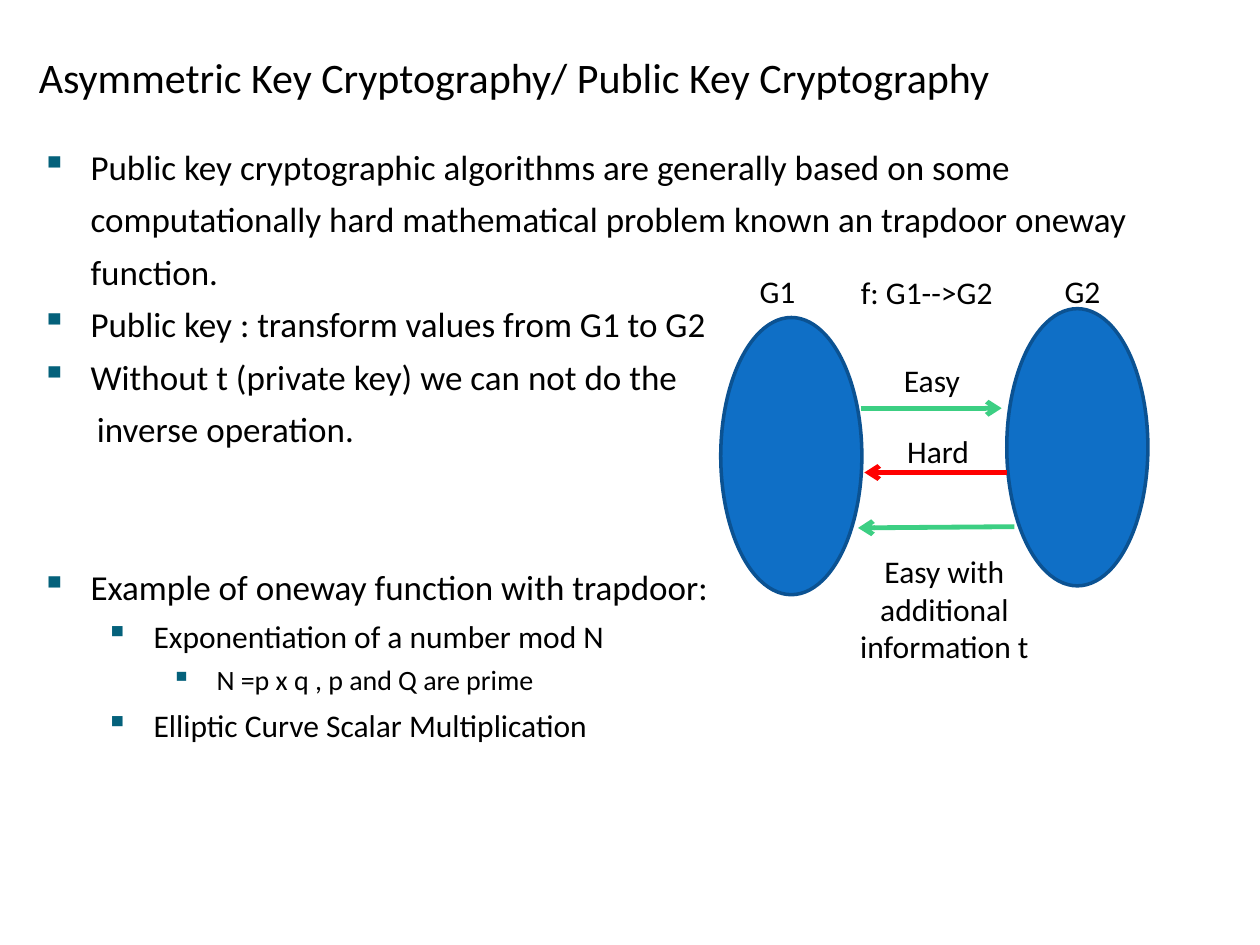
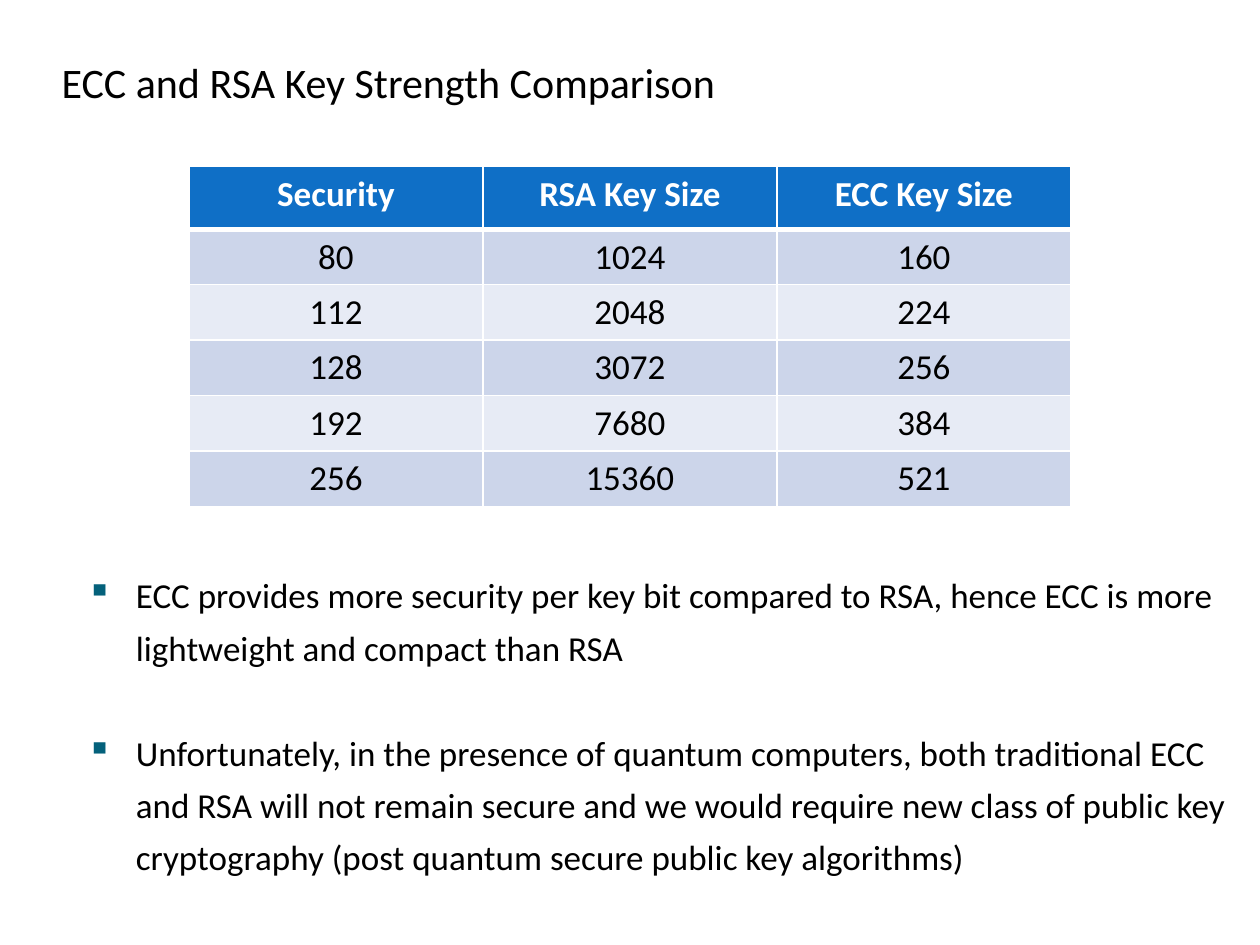
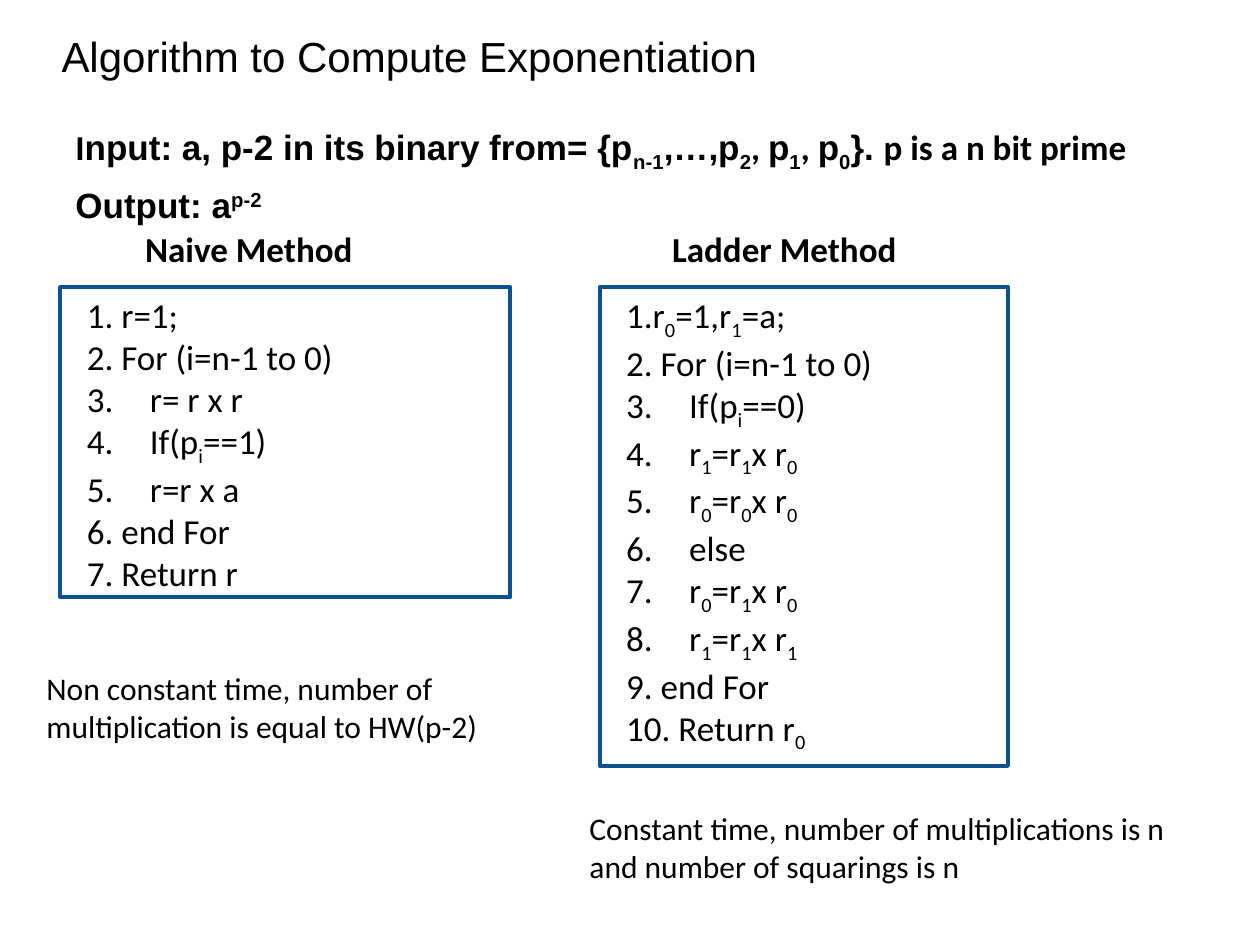
from lxml.etree import SubElement
from pptx import Presentation
from pptx.dml.color import RGBColor
from pptx.enum.shapes import MSO_CONNECTOR, MSO_SHAPE
from pptx.enum.text import MSO_ANCHOR, PP_ALIGN
from pptx.oxml.ns import qn
from pptx.util import Inches, Pt

COLORS = {
    "text": "000000", "white": "FFFFFF", "bullet": "04617B",
    "blue": "0F6FC6", "outline": "0B5292", "easy": "3CCF83", "hard": "FF0000",
    "band_dark": "CCD5EA", "band_light": "E7EBF5",
}
COLUMNS, ROWS = 100, 75
WIDTH, HEIGHT = Inches(10), Inches(7.5)
LEVELS = [(0.5, -0.39, 20), (1, -0.38, 18), (1.5, -0.36, 16)]
BODY_SPACING = 1.25
CODE_TAB = 0.75


def across(columns):
    return round(WIDTH * columns / COLUMNS)


def down(rows):
    return round(HEIGHT * rows / ROWS)


def place(left, top, width, height):
    return across(left), down(top), across(width), down(height)


def rgb(name):
    return RGBColor.from_string(COLORS[name])


def add_span(para, text, baseline=0, color="text", **formats):
    span = para.add_run()
    span.text = text
    values = {"name": "Calibri", "size": Pt(20), "bold": False} | formats
    for name, value in values.items():
        setattr(span.font, name, value)
    span.font.color.rgb = rgb(color)
    if baseline:
        span.font._element.set("baseline", str(baseline * 1000))


def write(para, markup, **formats):
    for raised_index, raised in enumerate(markup.split("^")):
        for index, text in enumerate(raised.split("~")):
            baseline = 30 if raised_index % 2 else -25 * (index % 2)
            if text:
                add_span(para, text, baseline, **formats)


def indent(para, margin, first=0):
    properties = para._p.get_or_add_pPr()
    properties.set("marL", str(Inches(margin)))
    properties.set("indent", str(Inches(first)))
    return properties


def add_bullet(properties):
    color = SubElement(properties, qn("a:buClr"))
    SubElement(color, qn("a:srgbClr"), val=COLORS["bullet"])
    SubElement(properties, qn("a:buChar"), char="▪")


def set_frame(frame, **formats):
    frame.word_wrap = True
    for name, value in formats.items():
        setattr(frame, name, value)


def next_para(frame, index):
    return frame.add_paragraph() if index else frame.paragraphs[0]


def add_box(page, area, **formats):
    frame = page.shapes.add_textbox(*place(*area)).text_frame
    set_frame(frame, **formats)
    return frame


def add_title(page, left, top, text, font="Calibri"):
    frame = add_box(page, (left, top, 78.4, 3.9), vertical_anchor=MSO_ANCHOR.MIDDLE)
    para = frame.paragraphs[0]
    para.line_spacing = BODY_SPACING
    write(para, text, name=font, size=Pt(24))


def add_label(page, area, text, size=18, align=PP_ALIGN.CENTER, bold=False):
    para = add_box(page, area).paragraphs[0]
    para.alignment = align
    write(para, text, size=Pt(size), bold=bold)


def add_bullets(page, area, items):
    frame = add_box(page, area)
    for index, (level, text, gap) in enumerate(items):
        para = next_para(frame, index)
        if level is None:
            indent(para, 0.55)
            size = 20
        else:
            margin, first, size = LEVELS[level]
            para.level = level
            add_bullet(indent(para, margin, first))
        para.line_spacing = BODY_SPACING
        if gap:
            para.space_before = Pt(gap)
        write(para, text, size=Pt(size))


def add_statement(page, area, lines):
    frame = add_box(page, area)
    for index, parts in enumerate(lines):
        para = next_para(frame, index)
        indent(para, 0.11)
        para.line_spacing = BODY_SPACING
        for font, markup in parts:
            write(para, markup, name=font, bold=True)


def add_shape(page, kind, area, fill, line_width):
    shape = page.shapes.add_shape(kind, *place(*area))
    shape.shadow.inherit = False
    if fill:
        shape.fill.solid()
        shape.fill.fore_color.rgb = rgb(fill)
    else:
        shape.fill.background()
    shape.line.color.rgb = rgb("outline")
    shape.line.width = Pt(line_width)
    return shape


def add_arrow(page, start, end, color):
    arrow = page.shapes.add_connector(
        MSO_CONNECTOR.STRAIGHT, across(start[0]), down(start[1]), across(end[0]), down(end[1]))
    arrow.line.color.rgb = rgb(color)
    arrow.line.width = Pt(2.75)
    SubElement(arrow.line._get_or_add_ln(), qn("a:tailEnd"), type="arrow")
    SubElement(arrow._element.spPr, qn("a:effectLst"))


def add_code(page, area, steps):
    box = add_shape(page, MSO_SHAPE.RECTANGLE, area, None, 2.25)
    frame = box.text_frame
    set_frame(frame, vertical_anchor=MSO_ANCHOR.TOP, margin_left=Inches(0.21))
    for index, (tab, markup) in enumerate(steps):
        para = next_para(frame, index)
        para.alignment = PP_ALIGN.LEFT
        if tab:
            stops = SubElement(indent(para, 0), qn("a:tabLst"))
            SubElement(stops, qn("a:tab"), pos=str(Inches(tab)), algn="l")
        write(para, markup)


def set_border(cell, side, width):
    line = SubElement(cell._tc.get_or_add_tcPr(), qn(f"a:{side}"), w=str(Pt(width)))
    fill = SubElement(line, qn("a:solidFill"))
    SubElement(fill, qn("a:srgbClr"), val=COLORS["white"])


def add_key_table(page, area, header_height, records):
    table = page.shapes.add_table(len(records), len(records[0]), *place(*area)).table
    row_height = (area[3] - header_height) / (len(records) - 1)
    for row_index, record in enumerate(records):
        header = row_index == 0
        table.rows[row_index].height = down(header_height if header else row_height)
        band = "blue" if header else ("band_light", "band_dark")[row_index % 2]
        for column_index, text in enumerate(record):
            cell = table.cell(row_index, column_index)
            for side in ("lnL", "lnR", "lnT", "lnB"):
                thick = (header and side == "lnB") or (row_index == 1 and side == "lnT")
                set_border(cell, side, 3 if thick else 1)
            cell.fill.solid()
            cell.fill.fore_color.rgb = rgb(band)
            para = cell.text_frame.paragraphs[0]
            para.alignment = PP_ALIGN.CENTER
            write(para, text, bold=header, color="white" if header else "text")


def build_public_key(page):
    add_bullets(page, (1.2, 10.2, 92.1, 54.7), [
        (0, "Public key cryptographic algorithms are generally based on some "
            "computationally hard mathematical problem known an trapdoor oneway function.", 0),
        (0, "Public key : transform values from G1 to G2", 0),
        (0, "Without t (private key) we can not do the", 0),
        (None, "inverse operation.", 0),
        (0, "Example of oneway function with trapdoor:", 60),
        (1, "Exponentiation of a number mod N", 0),
        (2, "N =p x q , p and Q are prime", 0),
        (1, "Elliptic Curve Scalar Multiplication", 0),
    ])
    add_title(page, 2.1, 3.6, "Asymmetric Key Cryptography/ Public Key Cryptography")
    for left, top in ((57.2, 25.2), (79.9, 24.5)):
        add_shape(page, MSO_SHAPE.OVAL, (left, top, 11.2, 22), "blue", 2)
    for start, end, color in (
        ((68.3, 32.4), (79.5, 32.4), "easy"),
        ((79.9, 37.5), (68.6, 37.5), "hard"),
        ((80.5, 41.8), (68.1, 41.9), "easy"),
    ):
        add_arrow(page, start, end, color)
    for left, text in ((59.3, "G1"), (83.5, "G2")):
        add_label(page, (left, 21.1, 5.8, 4), text, align=PP_ALIGN.LEFT)
    for area, text in (
        ((65.2, 21.2, 16.7, 4), "f: G1-->G2"),
        ((67, 28.2, 13.9, 4), "Easy"),
        ((67.5, 33.8, 13.9, 4), "Hard"),
        ((67, 43.3, 15.9, 10.1), "Easy with additional information t"),
    ):
        add_label(page, area, text)


def build_key_strength(page):
    add_bullets(page, (4.8, 44.2, 93.5, 31.3), [
        (0, "ECC provides more security per key bit compared to RSA, hence ECC is more "
            "lightweight and compact than RSA", 0),
        (0, "Unfortunately, in the presence of quantum computers, both traditional ECC and RSA "
            "will not remain secure and we would require new class of public key cryptography "
            "(post quantum secure public key algorithms)", 30),
    ])
    add_title(page, 3.9, 4, "ECC and RSA Key Strength Comparison")
    add_key_table(page, (15, 13.2, 70, 27), 5, [
        ("Security", "RSA Key Size", "ECC Key Size"),
        ("80", "1024", "160"),
        ("112", "2048", "224"),
        ("128", "3072", "256"),
        ("192", "7680", "384"),
        ("256", "15360", "521"),
    ])


def build_exponentiation(page):
    add_statement(page, (3.9, 8.5, 92.1, 10.2), [
        [("Calibri", "I"), ("Arial", "nput: a, p-2 in its binary from= {p~n-1~,…,p~2~"),
         ("Calibri", ", "), ("Arial", "p~1~"), ("Calibri", ", "), ("Arial", "p~0~}. "),
         ("Calibri", "p is a n bit prime")],
        [("Arial", "Output: a^p-2^")],
    ])
    add_title(page, 3.9, 2, "Algorithm to Compute Exponentiation", "Arial")
    add_code(page, (4.8, 22.8, 35.7, 24.6), [
        (0, "1. r=1;"),
        (0, "2. For (i=n-1 to 0)"),
        (CODE_TAB, "3.\tr= r x r"),
        (CODE_TAB, "4.\tIf(p~i~==1)"),
        (1.25, "5.\tr=r x a"),
        (0, "6. end For"),
        (0, "7. Return r"),
    ])
    add_code(page, (47.6, 22.8, 32.4, 38), [
        (0, "1.r~0~=1,r~1~=a;"),
        (0, "2. For (i=n-1 to 0)"),
        (CODE_TAB, "3.\tIf(p~i~==0)"),
        (1.13, "4.\tr~1~=r~1~x r~0~"),
        (1.28, "5.\tr~0~=r~0~x r~0~"),
        (CODE_TAB, "6.\telse"),
        (1.19, "7.\tr~0~=r~1~x r~0~"),
        (1.34, "8.\tr~1~=r~1~x r~1~"),
        (0, "9. end For"),
        (0, "10. Return r~0~"),
    ])
    for left, text in ((8.9, "Naive Method"), (51.4, "Ladder Method")):
        add_label(page, (left, 17.6, 21.7, 4.4), text, size=20, bold=True)
    for area, text in (
        ((2.7, 52.6, 39.8, 7.1),
         "Non constant time, number of multiplication is equal to HW(p-2)"),
        ((45.8, 63.7, 50.8, 7.1),
         "Constant time, number of multiplications is n and number of squarings is n"),
    ):
        add_label(page, area, text, align=PP_ALIGN.LEFT)


def main():
    deck = Presentation()
    deck.slide_width, deck.slide_height = WIDTH, HEIGHT
    for build in (build_public_key, build_key_strength, build_exponentiation):
        build(deck.slides.add_slide(deck.slide_layouts[6]))
    deck.save("out.pptx")


if __name__ == "__main__":
    main()
